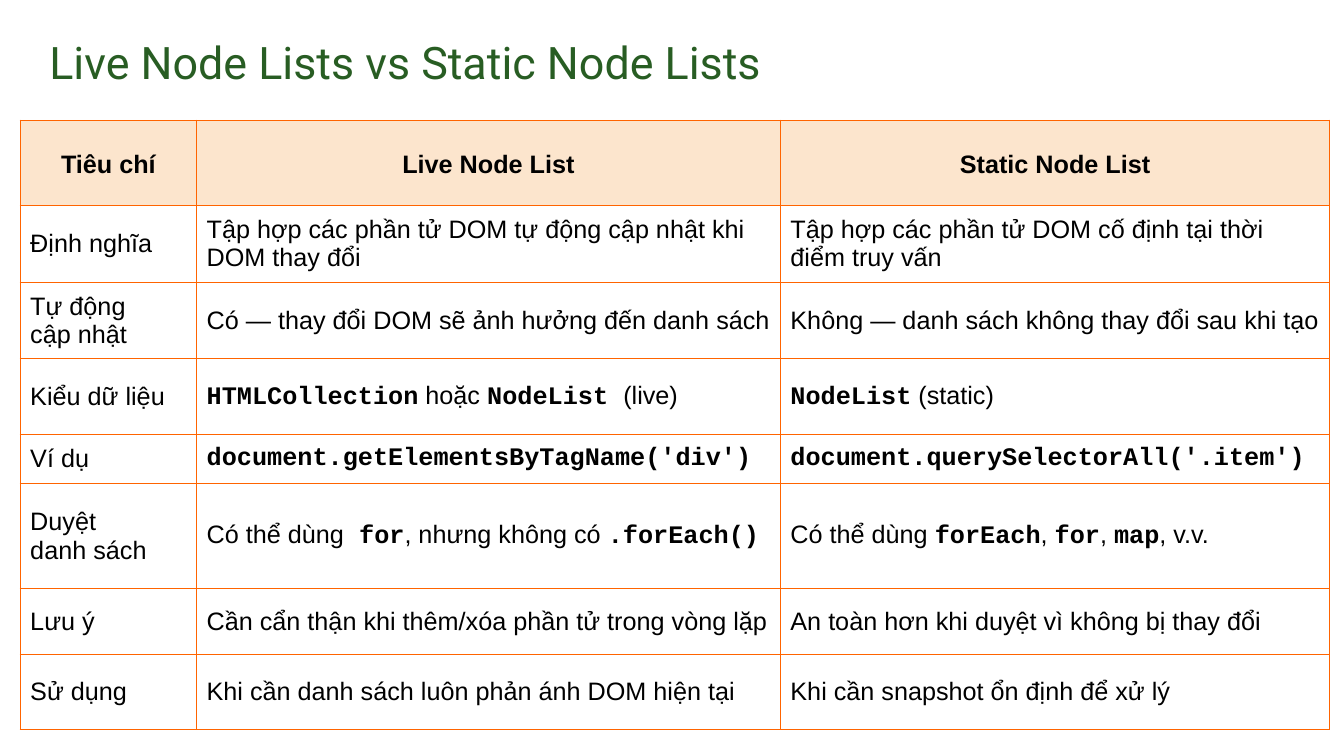
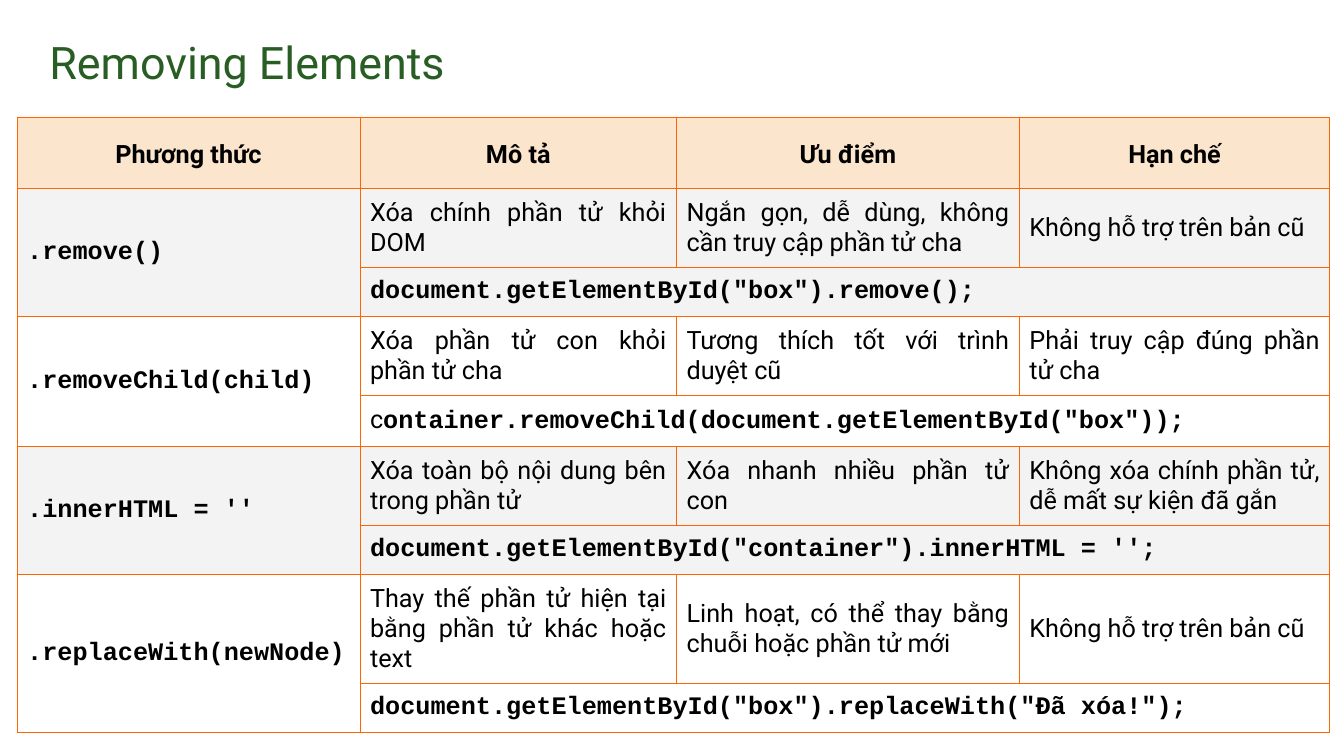
from lxml import etree
from pptx import Presentation
from pptx.dml.color import RGBColor
from pptx.enum.text import MSO_ANCHOR, PP_ALIGN
from pptx.oxml.ns import qn
from pptx.util import Inches, Pt

MIDDLE = MSO_ANCHOR.MIDDLE
LEFT, CENTER, JUSTIFY = PP_ALIGN.LEFT, PP_ALIGN.CENTER, PP_ALIGN.JUSTIFY

COLORS = {"title": "285D23", "text": "000000", "border": "FF6400",
          "header": "FCE5CD", "band": "F3F3F3"}
CODE_FONT = "Courier New"

NODE_LIST_COLS = (1.75, 5.79, 5.45)
NODE_LIST_ROWS = (0.85, 0.75, 0.75, 0.75, 0.49, 1.04, 0.65, 0.75)
# Text between backticks is set as code.
NODE_LISTS = (
    ("Tiêu chí", "Live Node List", "Static Node List"),
    ("Định nghĩa",
     "Tập hợp các phần tử DOM tự động cập nhật khi DOM thay đổi",
     "Tập hợp các phần tử DOM cố định tại thời điểm truy vấn"),
    ("Tự động\ncập nhật",
     "Có — thay đổi DOM sẽ ảnh hưởng đến danh sách",
     "Không — danh sách không thay đổi sau khi tạo"),
    ("Kiểu dữ liệu",
     "`HTMLCollection` hoặc `NodeList `(live)",
     "`NodeList` (static)"),
    ("Ví dụ",
     "`document.getElementsByTagName('div')`",
     "`document.querySelectorAll('.item')`"),
    ("Duyệt\ndanh sách",
     "Có thể dùng` for`, nhưng không có `.forEach()`",
     "Có thể dùng `forEach`, `for`, `map`, v.v."),
    ("Lưu ý",
     "Cần cẩn thận khi thêm/xóa phần tử trong vòng lặp",
     "An toàn hơn khi duyệt vì không bị thay đổi"),
    ("Sử dụng",
     "Khi cần danh sách luôn phản ánh DOM hiện tại",
     "Khi cần snapshot ổn định để xử lý"),
)

REMOVAL_COLS = (3.4, 3.14, 3.4, 3.08)
REMOVAL_ROWS = (0.7, 0.78, 0.49, 0.78, 0.51, 0.78, 0.49, 1.08, 0.49)
REMOVAL_HEADER = ("Phương thức", "Mô tả", "Ưu điểm", "Hạn chế")
# Each method: name, description, advantage, limitation, example.
REMOVAL_METHODS = (
    ("`.remove()`",
     "Xóa chính phần tử khỏi DOM",
     "Ngắn gọn, dễ dùng, không cần truy cập phần tử cha",
     "Không hỗ trợ trên bản cũ",
     '`document.getElementById("box").remove();`'),
    ("`.removeChild(child)`",
     "Xóa phần tử con khỏi phần tử cha",
     "Tương thích tốt với trình duyệt cũ",
     "Phải truy cập đúng phần tử cha",
     'c`ontainer.removeChild(document.getElementById("box"));`'),
    ("`.innerHTML = ''`",
     "Xóa toàn bộ nội dung bên trong phần tử",
     "Xóa nhanh nhiều phần tử con",
     "Không xóa chính phần tử, dễ mất sự kiện đã gắn",
     "`document.getElementById(\"container\").innerHTML = '';`"),
    ("`.replaceWith(newNode)`",
     "Thay thế phần tử hiện tại bằng phần tử khác hoặc text",
     "Linh hoạt, có thể thay bằng chuỗi hoặc phần tử mới",
     "Không hỗ trợ trên bản cũ",
     '`document.getElementById("box").replaceWith("Đã xóa!");`'),
)


def set_attrs(obj, values):
    for name, value in values.items():
        setattr(obj, name, value)


def set_margins(obj, across, down):
    set_attrs(obj, {"margin_left": Inches(across), "margin_right": Inches(across),
                    "margin_top": Inches(down), "margin_bottom": Inches(down)})


def add_run(p, text, color="text", **font):
    r = p.add_run()
    r.text = text
    set_attrs(r.font, font)
    r.font.color.rgb = RGBColor.from_string(COLORS[color])


def add_marked_text(p, text, font, bold=False):
    """Write text with line breaks, and backticked parts as bold code."""
    for i, line in enumerate(text.split("\n")):
        if i:
            p.add_line_break()
        for j, part in enumerate(line.split("`")):
            is_code = j % 2 == 1
            if part:
                add_run(p, part, size=Pt(18), bold=bold or is_code,
                        name=CODE_FONT if is_code else font)


def add_title_slide(prs, title):
    """Add a blank slide with the shared title line."""
    s = prs.slides.add_slide(prs.slide_layouts[6])
    sp = s.shapes.add_textbox(Inches(0.44), Inches(0.28), Inches(12), Inches(0.67))
    tf = sp.text_frame
    set_attrs(tf, {"word_wrap": True, "vertical_anchor": MIDDLE})
    set_margins(tf, 0.05, 0.05)
    add_run(tf.paragraphs[0], title, "title", size=Pt(32), name="Roboto")
    return s


def add_borders(cell):
    tcPr = cell._tc.get_or_add_tcPr()
    for side in ("lnL", "lnR", "lnT", "lnB"):
        ln = etree.SubElement(tcPr, qn(f"a:{side}"), w=str(Pt(0.75)))
        fill = etree.SubElement(ln, qn("a:solidFill"))
        etree.SubElement(fill, qn("a:srgbClr"), val=COLORS["border"])


def add_grid(s, left, top, cols, rows):
    """Add an unstyled table with bordered cells."""
    frame = s.shapes.add_table(len(rows), len(cols), Inches(left), Inches(top),
                               Inches(sum(cols)), Inches(sum(rows)))
    table = frame.table
    set_attrs(table, {"first_row": False, "horz_banding": False})
    for col, width in zip(table.columns, cols):
        col.width = Inches(width)
    for row, height in zip(table.rows, rows):
        row.height = Inches(height)
    for cell in table.iter_cells():
        add_borders(cell)
        cell.fill.background()
        cell.vertical_anchor = MIDDLE
        set_margins(cell, 0.1, 0.08)
    return table


def fill_cell(cell, text, font, align=LEFT, fill=None, bold=False):
    p = cell.text_frame.paragraphs[0]
    p.alignment = align
    add_marked_text(p, text, font, bold)
    if fill:
        cell.fill.solid()
        cell.fill.fore_color.rgb = RGBColor.from_string(COLORS[fill])
    return p


def fill_header(table, labels, font):
    for c, label in enumerate(labels):
        p = fill_cell(table.cell(0, c), label, font, CENTER, "header", True)
        p.line_spacing = 1.15


def add_node_list_table(s):
    table = add_grid(s, 0.2, 1.19, NODE_LIST_COLS, NODE_LIST_ROWS)
    fill_header(table, NODE_LISTS[0], "Arial")
    for r, row in enumerate(NODE_LISTS[1:], 1):
        for c, text in enumerate(row):
            fill_cell(table.cell(r, c), text, "Arial")


def add_removal_table(s):
    """Give each method two rows: its traits above, its example below."""
    table = add_grid(s, 0.17, 1.17, REMOVAL_COLS, REMOVAL_ROWS)
    fill_header(table, REMOVAL_HEADER, "Roboto")
    for i, (name, *traits, example) in enumerate(REMOVAL_METHODS):
        top = 1 + 2 * i
        band = "band" if i % 2 == 0 else None
        table.cell(top, 0).merge(table.cell(top + 1, 0))
        table.cell(top + 1, 1).merge(table.cell(top + 1, 3))
        fill_cell(table.cell(top, 0), name, "Roboto", LEFT, band)
        for c, trait in enumerate(traits, 1):
            fill_cell(table.cell(top, c), trait, "Roboto", JUSTIFY, band)
        fill_cell(table.cell(top + 1, 1), example, "Roboto", JUSTIFY, band)


def main():
    prs = Presentation()
    set_attrs(prs, {"slide_width": Inches(13.33), "slide_height": Inches(7.5)})
    add_node_list_table(add_title_slide(prs, "Live Node Lists vs Static Node Lists"))
    add_removal_table(add_title_slide(prs, "Removing Elements"))
    prs.save("out.pptx")


if __name__ == "__main__":
    main()
